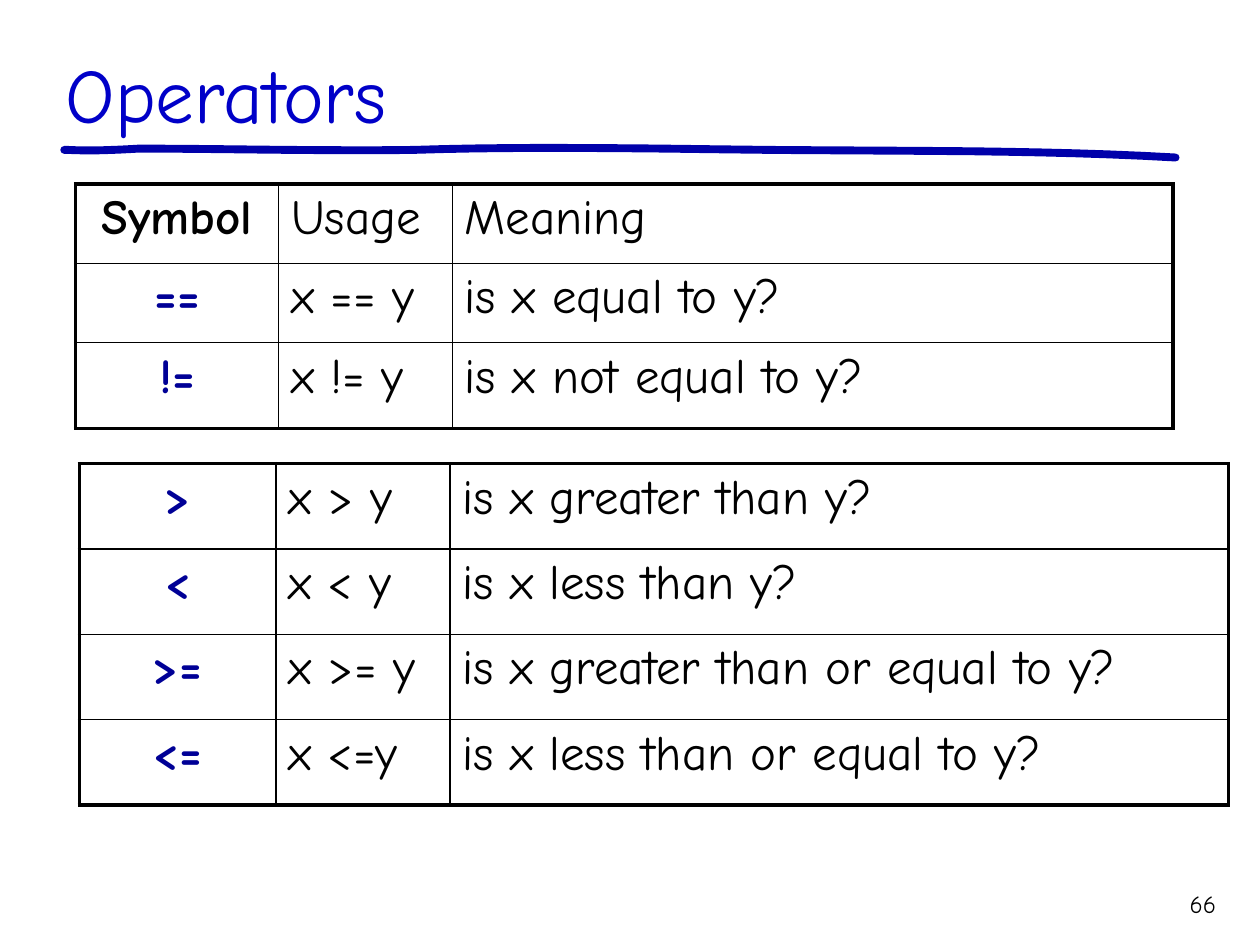
from dataclasses import dataclass

from lxml import etree
from pptx import Presentation
from pptx import util as u
from pptx.dml.color import RGBColor
from pptx.enum import text
from pptx.oxml import ns


@dataclass(frozen=True)
class Theme:
    font: str = "Comic Neue"
    title: RGBColor = RGBColor(0x00, 0x00, 0xC8)
    rule: RGBColor = RGBColor(0x00, 0x00, 0xAA)
    symbol: RGBColor = RGBColor(0x00, 0x00, 0x96)
    ink: RGBColor = RGBColor(0x00, 0x00, 0x00)
    title_size: float = 44
    cell_size: float = 28
    number_size: float = 14
    rule_width: float = 4.5
    outer_border: float = 2.25
    inner_border: float = 1


@dataclass(frozen=True)
class Operator:
    symbol: str
    usage: str
    meaning: str
    heading: bool = False


@dataclass(frozen=True)
class OperatorTable:
    left: float
    top: float
    columns: tuple[float, ...]
    heights: tuple[float, ...]
    operators: tuple[Operator, ...]


THEME = Theme()
EQUALITY = OperatorTable(
    0.6, 1.46, (1.61, 1.38, 5.72), (0.63, 0.63, 0.68),
    (
        Operator("Symbol", "Usage", "Meaning", heading=True),
        Operator("==", "x == y", "is x equal to y?"),
        Operator("!=", "x != y", "is x not equal to y?"),
    ),
)
ORDERING = OperatorTable(
    0.63, 3.68, (1.56, 1.38, 6.18), (2.71 / 4,) * 4,
    (
        Operator(">", "x > y", "is x greater than y?"),
        Operator("<", "x < y", "is x less than y?"),
        Operator(">=", "x >= y", "is x greater than or equal to y?"),
        Operator("<=", "x <=y", "is x less than or equal to y?"),
    ),
)
# A start point, then two handles and an end point for each curve.
RULE_POINTS = (
    (0.51, 1.19),
    (0.52, 1.19), (0.52, 1.19), (0.54, 1.19),
    (0.73, 1.2), (0.91, 1.19), (1.1, 1.18),
    (1.83, 1.18), (2.55, 1.2), (3.28, 1.19),
    (4.23, 1.16), (5.17, 1.18), (6.12, 1.19),
    (7.2, 1.2), (8.27, 1.19), (9.33, 1.25),
)


def add_span(para, words: str, size: float, color: RGBColor, bold: bool = False) -> None:
    span = para.add_run()
    span.text = words
    span.font.name = THEME.font
    span.font.size = u.Pt(size)
    span.font.bold = bold
    span.font.color.rgb = color


def place(shape, left: float, top: float, width: float, height: float) -> None:
    shape.left, shape.top = u.Inches(left), u.Inches(top)
    shape.width, shape.height = u.Inches(width), u.Inches(height)


def add_title(page, words: str) -> None:
    title = page.shapes.title
    place(title, 0.42, 0.3, 9.33, 0.87)
    title.text_frame.vertical_anchor = text.MSO_ANCHOR.MIDDLE
    para = title.text_frame.paragraphs[0]
    para.alignment = text.PP_ALIGN.LEFT
    add_span(para, words, THEME.title_size, THEME.title)


def sample_curves(points: tuple, steps: int = 12) -> list[tuple[int, int]]:
    """Turn a chain of cubic Bezier curves, in inches, into points along it."""
    samples = [tuple(u.Inches(value) for value in points[0])]
    for first in range(0, len(points) - 1, 3):
        curve = points[first:first + 4]
        for step in range(1, steps + 1):
            t = step / steps
            weights = ((1 - t) ** 3, 3 * t * (1 - t) ** 2, 3 * t * t * (1 - t), t ** 3)
            samples.append(tuple(
                u.Inches(sum(w * point[axis] for w, point in zip(weights, curve)))
                for axis in (0, 1)
            ))
    return samples


def add_title_rule(page) -> None:
    start, *rest = sample_curves(RULE_POINTS)
    builder = page.shapes.build_freeform(*start)
    builder.add_line_segments(rest, close=False)
    rule = builder.convert_to_shape()
    rule.shadow.inherit = False
    rule.fill.background()
    rule.line.color.rgb = THEME.rule
    rule.line.width = u.Pt(THEME.rule_width)
    line = rule.line._get_or_add_ln()
    line.set("cap", "rnd")
    etree.SubElement(line, ns.qn("a:round"))


def set_borders(cell, widths: dict[str, float]) -> None:
    """Draw the cell's sides, given as L, R, T, B in the order the schema needs."""
    properties = cell._tc.get_or_add_tcPr()
    for index, (side, width) in enumerate(widths.items()):
        border = etree.Element(ns.qn(f"a:ln{side}"), w=str(u.Pt(width)))
        fill = etree.SubElement(border, ns.qn("a:solidFill"))
        etree.SubElement(fill, ns.qn("a:srgbClr"), val=str(THEME.ink))
        properties.insert(index, border)


def fill_cell(cell, words: str, color: RGBColor, is_symbol: bool) -> None:
    cell.fill.background()
    para = cell.text_frame.paragraphs[0]
    para.alignment = text.PP_ALIGN.CENTER if is_symbol else text.PP_ALIGN.LEFT
    spacing = etree.SubElement(para._p.get_or_add_pPr(), ns.qn("a:spcBef"))
    etree.SubElement(spacing, ns.qn("a:spcPct"), val="20000")
    add_span(para, words, THEME.cell_size, color, bold=is_symbol)


def add_operator_table(page, layout: OperatorTable) -> None:
    rows, columns = len(layout.heights), len(layout.columns)
    frame = page.shapes.add_table(
        rows, columns, u.Inches(layout.left), u.Inches(layout.top),
        u.Inches(sum(layout.columns)), u.Inches(sum(layout.heights)),
    )
    table = frame.table
    table.first_row = table.horz_banding = False
    for column, width in zip(table.columns, layout.columns):
        column.width = u.Inches(width)
    for row, height in zip(table.rows, layout.heights):
        row.height = u.Inches(height)

    for r, operator in enumerate(layout.operators):
        for c, words in enumerate((operator.symbol, operator.usage, operator.meaning)):
            is_symbol = c == 0
            color = THEME.symbol if is_symbol and not operator.heading else THEME.ink
            cell = table.cell(r, c)
            fill_cell(cell, words, color, is_symbol)
            outer = {"L": c == 0, "R": c == columns - 1, "T": r == 0, "B": r == rows - 1}
            set_borders(cell, {
                side: THEME.outer_border if edge else THEME.inner_border
                for side, edge in outer.items()
            })


def add_page_number(page, number: str) -> None:
    box = page.shapes.add_textbox(
        u.Inches(9.17), u.Inches(7), u.Inches(0.58), u.Inches(0.35))
    box.text_frame.word_wrap = True
    box.text_frame.vertical_anchor = text.MSO_ANCHOR.MIDDLE
    para = box.text_frame.paragraphs[0]
    para.alignment = text.PP_ALIGN.RIGHT
    add_span(para, number, THEME.number_size, THEME.ink)


def main() -> None:
    deck = Presentation()
    deck.slide_width, deck.slide_height = u.Inches(10), u.Inches(7.5)
    page = deck.slides.add_slide(deck.slide_layouts.get_by_name("Title Only"))
    add_title_rule(page)
    add_title(page, "Operators")
    for operator_table in (EQUALITY, ORDERING):
        add_operator_table(page, operator_table)
    add_page_number(page, "66")
    deck.save("out.pptx")


if __name__ == "__main__":
    main()
